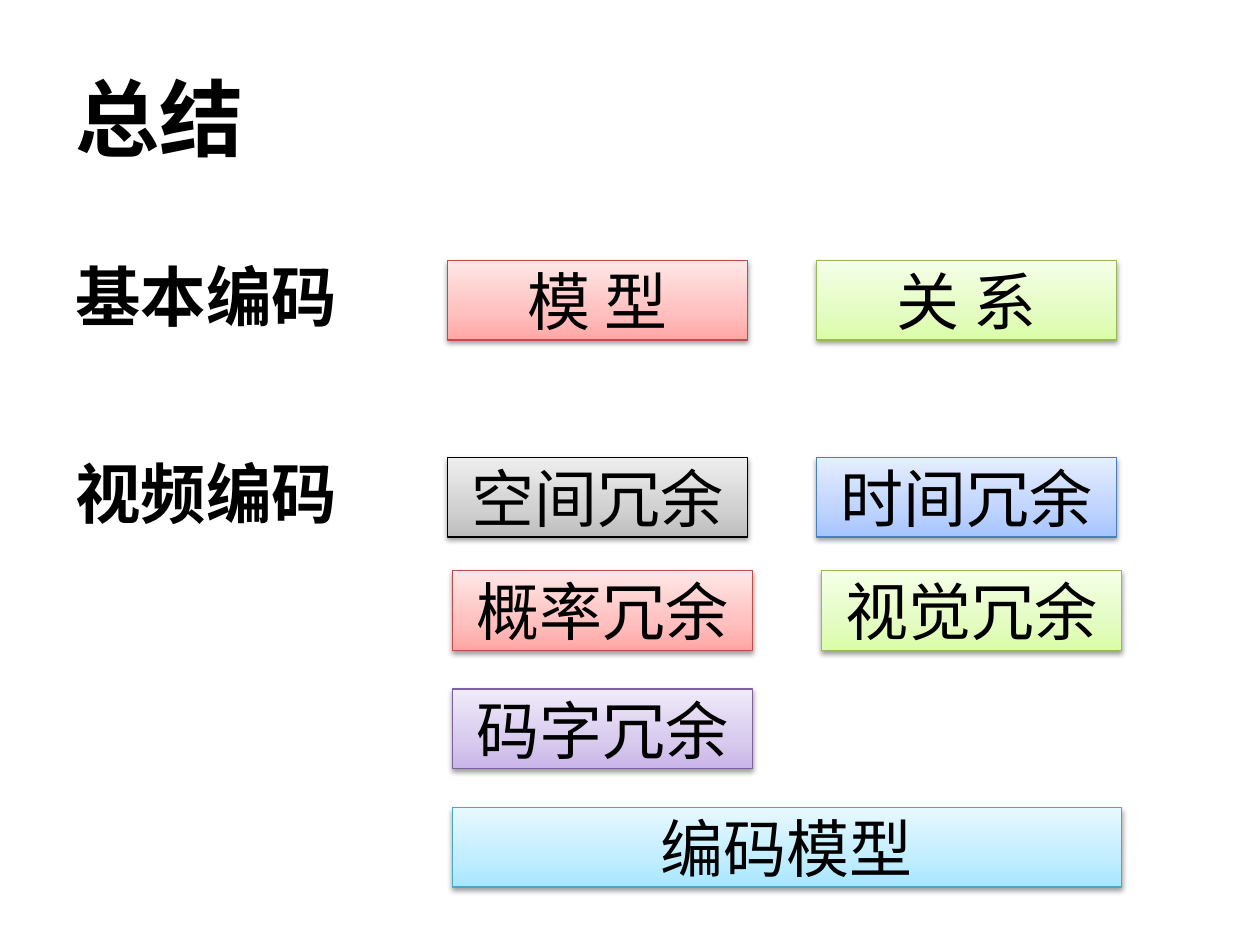
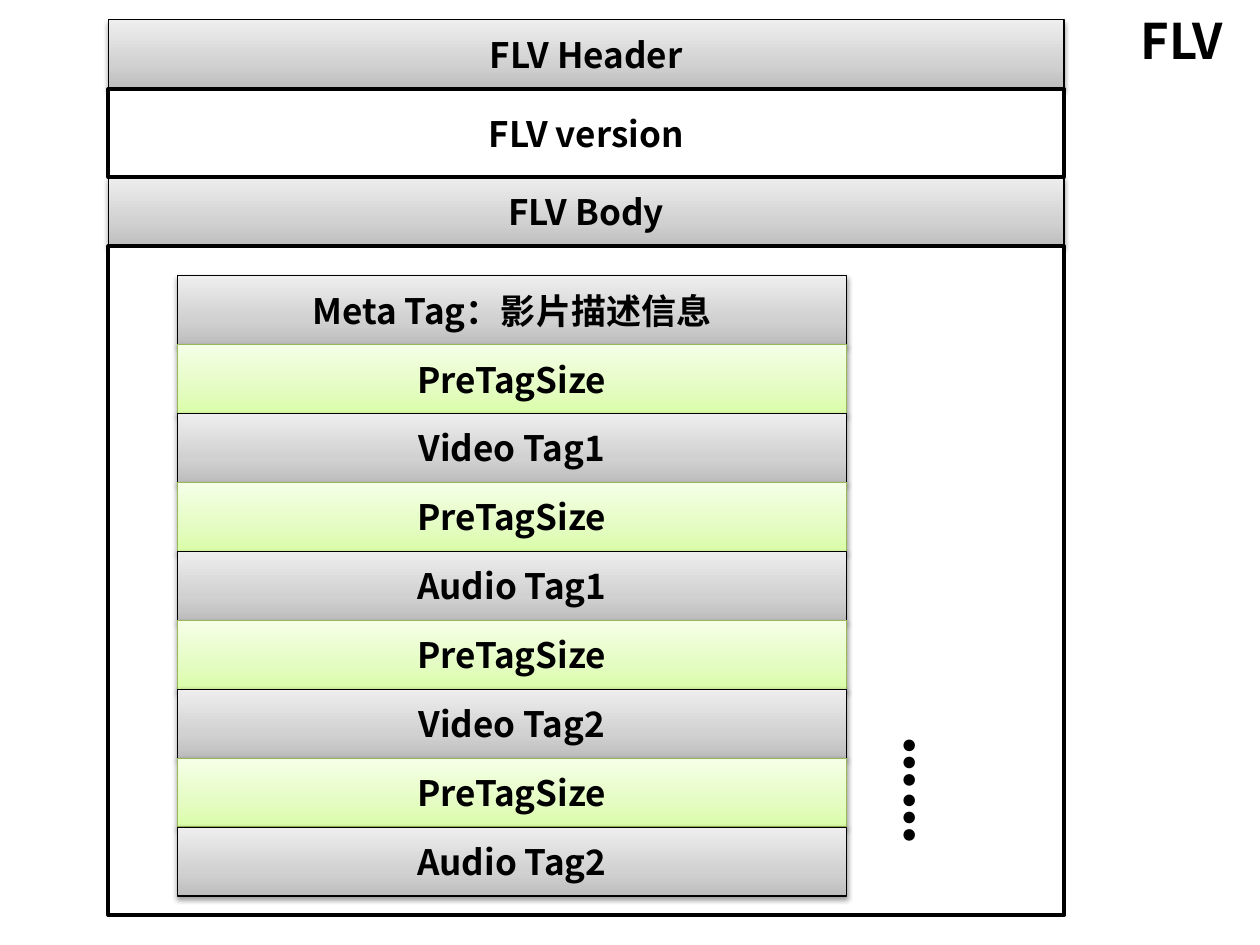
from lxml import etree
from pptx import Presentation
from pptx.dml.color import RGBColor
from pptx.enum.shapes import MSO_SHAPE
from pptx.enum.text import MSO_ANCHOR, PP_ALIGN
from pptx.oxml.ns import qn
from pptx.util import Pt

RECTANGLE = MSO_SHAPE.RECTANGLE
MIDDLE = MSO_ANCHOR.MIDDLE
LEFT, CENTER = PP_ALIGN.LEFT, PP_ALIGN.CENTER

COLORS = {"text": "000000", "paper": "FFFFFF", "frame": "000000", "shadow": "000000"}
# Line colour, then gradient stops from the bottom edge to the top edge
THEMES = {
    "red": ("BF4C48", "FFA6A5", "FFC0BF", "FFE7E7"),
    "green": ("98B955", "DAFDA7", "E4FCC2", "F5FFE7"),
    "gray": ("000000", "BDBDBD", "D1D1D1", "EEEEEE"),
    "blue": ("4B7EBC", "A4C4FF", "BFD4FF", "E6EEFF"),
    "purple": ("7D60A0", "C9B5E8", "D8CBEE", "F0EAF9"),
    "cyan": ("46AAC5", "A7E6FF", "C1EDFF", "E7F8FF"),
}
STOPS = (0, 35000, 100000)


def add_element(parent, tag, **attributes):
    element = etree.SubElement(parent, qn(tag))
    for name, value in attributes.items():
        element.set(name, str(value))
    return element


class Painter:
    font = "Noto Sans CJK SC"

    def __init__(self, deck):
        self.deck = deck
        self.slide = None

    def new_slide(self):
        self.slide = self.deck.slides.add_slide(self.deck.slide_layouts[6])

    def label(self, shape, text, size, bold=True, align=CENTER, spacing=None, font=None):
        """Put one styled paragraph into a shape."""
        frame = shape.text_frame
        frame.word_wrap = True
        frame.vertical_anchor = MIDDLE
        frame.text = text
        para = frame.paragraphs[0]
        para.alignment = align
        para.line_spacing = spacing
        for span in para.runs:
            span.font.size = Pt(size)
            span.font.bold = bold
            span.font.color.rgb = RGBColor.from_string(COLORS["text"])
            span.font.name = font or self.font
            add_element(span._r.get_or_add_rPr(), "a:ea", typeface=font or self.font)

    def text(self, text, left, top, width, height, size, vertical=False, **style):
        box = self.slide.shapes.add_textbox(Pt(left), Pt(top), Pt(width), Pt(height))
        self.label(box, text, size, **style)
        if vertical:
            box._element.txBody.find(qn("a:bodyPr")).set("vert", "eaVert")

    def rectangle(self, left, top, width, height, line, line_width):
        shape = self.slide.shapes.add_shape(RECTANGLE, Pt(left), Pt(top), Pt(width), Pt(height))
        shape.shadow.inherit = False
        shape.line.color.rgb = RGBColor.from_string(line)
        shape.line.width = Pt(line_width)
        return shape

    def frame(self, left, top, width, height, text="", size=20):
        shape = self.rectangle(left, top, width, height, COLORS["frame"], 2.25)
        shape.fill.solid()
        shape.fill.fore_color.rgb = RGBColor.from_string(COLORS["paper"])
        if text:
            self.label(shape, text, size)

    def block(self, text, theme, left, top, width, height, size, bold=False):
        """Gradient rectangle with a soft shadow below it."""
        line, *shades = THEMES[theme]
        shape = self.rectangle(left, top, width, height, line, 0.75)
        shape.fill.gradient()
        shape.fill.gradient_angle = 90
        properties = shape._element.spPr
        stop_list = properties.find(".//" + qn("a:gsLst"))
        for stop in list(stop_list):
            stop_list.remove(stop)
        for position, shade in zip(STOPS, shades):
            stop = add_element(stop_list, "a:gs", pos=position)
            add_element(stop, "a:srgbClr", val=shade)
        shadow = add_element(properties.find(qn("a:effectLst")), "a:outerShdw",
                             blurRad=Pt(3.1), dist=Pt(1.6), dir=5400000, rotWithShape=0)
        color = add_element(shadow, "a:srgbClr", val=COLORS["shadow"])
        add_element(color, "a:alpha", val=38000)
        self.label(shape, text, size, bold=bold)


def summary_slide(painter):
    painter.new_slide()
    painter.text("总结", 36, 21.6, 648, 90, 48, align=LEFT)
    for heading, top in (("基本编码", 140.4), ("视频编码", 253.4)):
        painter.text(heading, 33.8, top, 168.5, 62, 37.4, spacing=0.9)

    width, height, column_step = 171.4, 45.4, 210.9
    rows = (
        (255.6, 149, (("模 型", "red"), ("关 系", "green"))),
        (255.6, 261.5, (("空间冗余", "gray"), ("时间冗余", "blue"))),
        (258.5, 326.2, (("概率冗余", "red"), ("视觉冗余", "green"))),
        (258.5, 393.8, (("码字冗余", "purple"),)),
    )
    for left, top, blocks in rows:
        for column, (text, theme) in enumerate(blocks):
            painter.block(text, theme, left + column * column_step, top, width, height, 36)
    painter.block("编码模型", "cyan", 258.5, 461.5, column_step + width, height, 36)


def flv_slide(painter):
    painter.new_slide()
    left, width, row, version_height = 62, 546, 39.4, 50.6
    header_top = 11.3
    version_top = header_top + row
    body_top = version_top + version_height
    painter.block("FLV Header", "gray", left, header_top, width, row, 20, bold=True)
    painter.block("FLV Body", "gray", left, body_top, width, row, 20, bold=True)
    painter.frame(left, version_top, width, version_height, "FLV version")
    painter.frame(left, body_top + row, width, 382.3)

    tags = ["Meta Tag：影片描述信息", "Video Tag1", "Audio Tag1", "Video Tag2", "Audio Tag2"]
    for index in range(2 * len(tags) - 1):
        tag, is_size = divmod(index, 2)
        text, theme = ("PreTagSize", "green") if is_size else (tags[tag], "gray")
        painter.block(text, theme, 101.3, 157.5 + index * row, 382.5, row, 20, bold=True)

    painter.text("……", 500.4, 413.3, 58.3, 116, 44.4, vertical=True, spacing=0.8, font="Calibri")
    painter.text("FLV", 551.5, 0, 247.7, 45.4, 28)


def main():
    deck = Presentation()
    deck.slide_width, deck.slide_height = Pt(720), Pt(540)
    painter = Painter(deck)
    summary_slide(painter)
    flv_slide(painter)
    deck.save("out.pptx")


if __name__ == "__main__":
    main()
